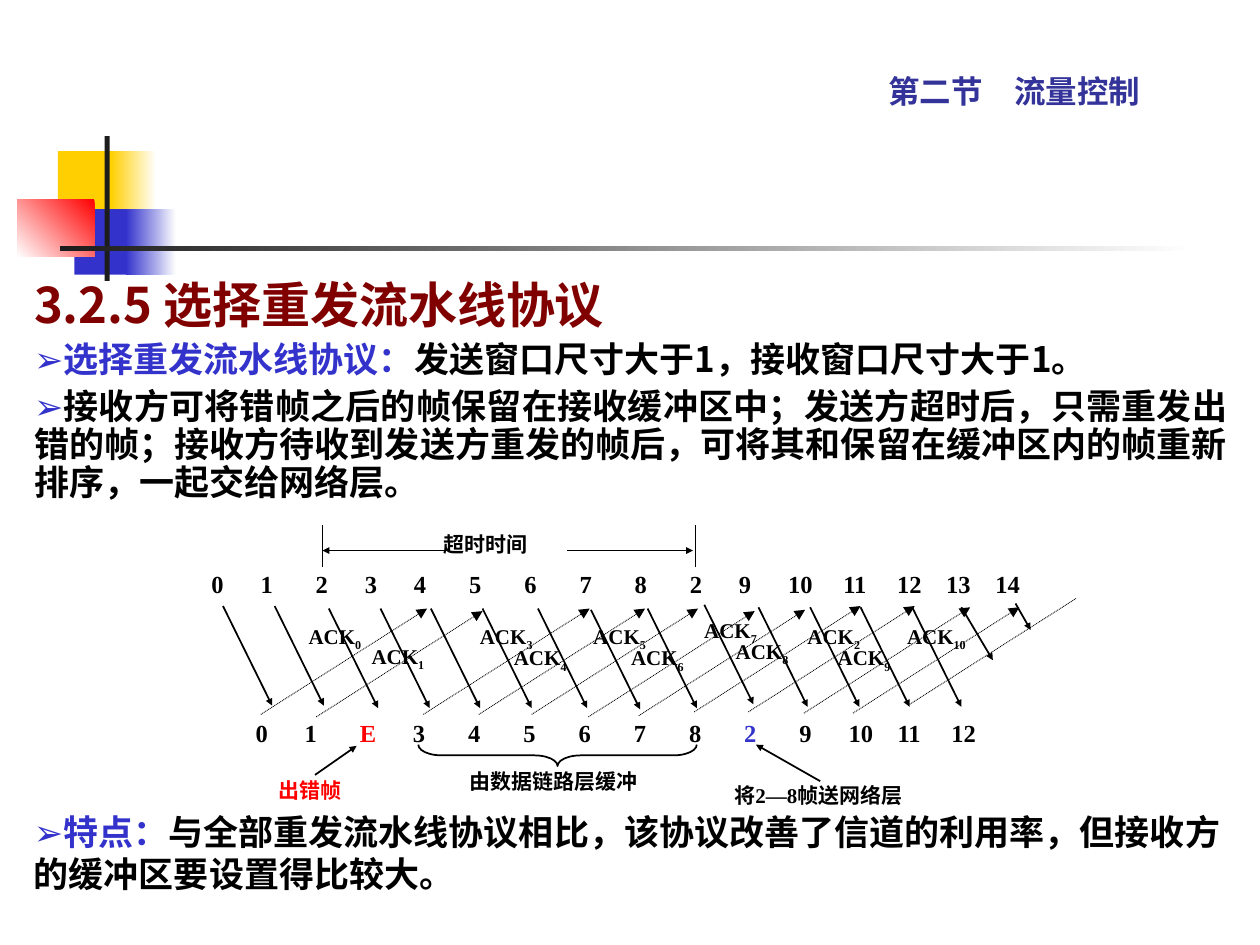
from lxml import etree
from pptx import Presentation
from pptx.dml.color import RGBColor
from pptx.enum import dml, shapes, text
from pptx.oxml.ns import qn
from pptx.util import Pt

PX = 9144


class Theme:
    """Colours, fonts and type sizes of the slide."""
    black, white, dark = "000000", "FFFFFF", "1C1C1C"
    gold, blue, red = "FFCF01", "3333CC", "FF0000"
    navy, wine = "333399", "800000"
    sans, serif, mark = "Noto Sans CJK SC", "Times New Roman", "Arial"
    head, body, title, row, note = 28, 20, 18, 14, 12


def rgb(code):
    """Turn a hex code into a colour."""
    return RGBColor.from_string(code)


def emu(*nums):
    """Turn px into EMU."""
    return [n * PX for n in nums]


def write(frame, *runs, font=Theme.serif, size=Theme.note, color=Theme.black,
          align=text.PP_ALIGN.JUSTIFY, line=None, before=0, first=True):
    """Add one paragraph of runs, each a string or a (string, changes) pair."""
    para = frame.paragraphs[0] if first else frame.add_paragraph()
    para.alignment, para.space_before = align, Pt(before)
    if line:
        para.line_spacing = line
    props = para._p.get_or_add_pPr()
    props.set("marL", "0")
    props.set("indent", "0")
    etree.SubElement(props, qn("a:buNone"))
    for item in runs:
        words, change = (item, {}) if isinstance(item, str) else item
        run = para.add_run()
        run.text = words
        face = run.font
        face.name = change.get("font", font)
        face.size, face.bold = Pt(size), True
        face.color.rgb = rgb(change.get("color", color))
        east = Theme.sans if face.name == Theme.serif else face.name
        etree.SubElement(run._r.rPr, qn("a:ea"), typeface=east)
        if "base" in change:
            run._r.rPr.set("baseline", str(change["base"] * 1000))
        if "gap" in change:
            run._r.rPr.set("spc", str(change["gap"]))


def label(slide, box, *runs, **fmt):
    """Add a text box holding one paragraph."""
    frame = slide.shapes.add_textbox(*emu(*box)).text_frame
    frame.word_wrap = True
    write(frame, *runs, **fmt)


def place(holder, box):
    """Move a placeholder to a box and fix its text size."""
    holder.left, holder.top, holder.width, holder.height = emu(*box)
    frame = holder.text_frame
    frame.word_wrap, frame.auto_size = True, text.MSO_AUTO_SIZE.NONE
    return frame


def block(slide, box, *colors, angle=180):
    """Add a borderless rectangle with one colour or a two-colour fade."""
    shape = slide.shapes.add_shape(shapes.MSO_SHAPE.RECTANGLE, *emu(*box))
    shape.shadow.inherit = False
    shape.line.fill.background()
    if len(colors) == 1:
        shape.fill.solid()
        shape.fill.fore_color.rgb = rgb(colors[0])
        return
    shape.fill.gradient()
    shape.fill.gradient_angle = angle
    for stop, code in zip(shape.fill.gradient_stops, colors):
        stop.color.rgb = rgb(code)


def stroke(slide, x, y, dx, dy, head=True, dots=False):
    """Add a straight line from a point by an offset."""
    link = slide.shapes.add_connector(
        shapes.MSO_CONNECTOR.STRAIGHT, *emu(x, y, x + dx, y + dy))
    link.line.width = Pt(0.5 if dots else 1)
    link.line.color.rgb = rgb(Theme.black)
    if dots:
        link.line.dash_style = dml.MSO_LINE.ROUND_DOT
    if head:
        size = "med" if dots else "sm"
        etree.SubElement(link.line._get_or_add_ln(), qn("a:tailEnd"),
                         type="triangle", w=size, len=size)
    etree.SubElement(link._element.spPr, qn("a:effectLst"))


def decor(slide, x, y):
    """Draw the colour blocks and the two rules."""
    t = Theme
    block(slide, (x + 32, y + 12, 48, 52), t.gold)
    block(slide, (x + 74, y + 12, 36, 52), t.white, t.gold)
    block(slide, (x + 45, y + 58, 46, 52), t.blue)
    block(slide, (x + 86, y + 58, 40, 52), t.white, t.blue)
    block(slide, (x, y + 50, 61, 46), t.red, t.white, angle=225)
    block(slide, (x + 69, y, 4, 115), t.dark)
    block(slide, (x + 34, y + 87, 900, 4), t.white, t.dark)


def timeout(slide, x, y):
    """Draw the timeout span above the sent frames."""
    for bar in (0, 296):
        stroke(slide, x + bar, y + 33, 0, -33, head=False)
    stroke(slide, x + 194, y + 20, 100, 0)
    stroke(slide, x + 100, y + 20, -100, 0)
    label(slide, (x + 86, y, 136, 51), "超时时间")


def acks(slide, x, y):
    """Draw the acknowledgement names and their rising arrows."""
    names = {8: (416, 85), 7: (391, 68), 6: (333, 90), 2: (473, 73),
             0: (77, 73), 1: (127, 89), 9: (497, 90), 10: (552, 73),
             3: (213, 73), 4: (240, 90), 5: (303, 73)}
    for num, (dx, dy) in names.items():
        label(slide, (x + dx, y + dy, 111, 67), "ACK", (str(num), {"base": -25}))
    rise = [(49, 150), (93, 152), (178, 150), (222, 150), (264, 150), (309, 152),
            (349, 151), (393, 148), (436, 148), (480, 149), (519, 149), (564, 142)]
    for dx, dy in rise:
        stroke(slide, x + dx, y + dy, 132, -84, head=(dx, dy) != rise[-1], dots=True)


def sends(slide, x, y):
    """Draw the falling arrows of the sent frames."""
    tops = {19: 64, 60: 64, 103: 66, 144: 66, 184: 66, 225: 66, 269: 66,
            311: 67, 356: 66, 401: 63, 444: 65, 485: 65, 525: 65, 566: 65}
    for dx, dy in tops.items():
        stroke(slide, x + dx, y + dy, 39, 79)
    stroke(slide, x + 605, y + 65, 25, 42)
    stroke(slide, x + 648, y + 62, 12, 21)


def series(slide, box, names, gaps, colors):
    """Write frame names on one line, each gap a space widened in half digits."""
    runs = []
    for i, name in enumerate(names.split()):
        if i:
            runs.append((" ", {"gap": (int(gaps[i - 1]) - 1) * Theme.row * 25}))
        runs.append((name, {"color": colors.get(i, Theme.black)}))
    label(slide, box, *runs, size=Theme.row, align=text.PP_ALIGN.LEFT)


def rows(slide, x, y):
    """Write the sent and received frame numbers."""
    series(slide, (x, y + 30, 725, 34),
           "0 1 2 3 4 5 6 7 8 2 9 10 11 12 13 14", "676677777665544", {})
    series(slide, (x + 35, y + 148, 682, 34),
           "0 1 E 3 4 5 6 7 8 2 9 10 11 12", "6767777777645"[:2] + "67777777645",
           {2: Theme.red, 9: Theme.blue})


def notes(slide, x, y):
    """Draw the brace and the remarks below the received frames."""
    label(slide, (x + 53, y + 195, 124, 51), "出错帧", color=Theme.red)
    brace = slide.shapes.add_shape(
        shapes.MSO_SHAPE.LEFT_BRACE, *emu(x + 276, y + 72, 17, 221))
    brace.rotation = 270
    brace.adjustments[0] = 1.08
    brace.shadow.inherit = False
    brace.fill.background()
    brace.line.width = Pt(1)
    brace.line.color.rgb = rgb(Theme.black)
    label(slide, (x + 205, y + 188, 187, 37), "由数据链路层缓冲")
    stroke(slide, x + 92, y + 198, 33, -23)
    label(slide, (x + 415, y + 199, 177, 42), "将2—8帧送网络层")
    stroke(slide, x + 493, y + 203, -51, -29)


def copy(slide):
    """Fill the title, the body and the closing point."""
    t = Theme
    blue = {"color": t.blue}
    mark = ("➢", {"color": t.blue, "font": t.mark})
    frame = place(slide.shapes.title, (667, 42, 325, 50))
    frame.vertical_anchor = text.MSO_ANCHOR.BOTTOM
    frame.margin_left = 38 * PX
    write(frame, "第二节　流量控制", font=t.sans, size=t.title, color=t.navy,
          align=text.PP_ALIGN.LEFT)
    frame = place(slide.placeholders[1], (17, 218, 967, 192))
    write(frame, "3.2.5 选择重发流水线协议", font=t.sans, size=t.head, color=t.wine,
          line=0.9, before=7)
    fmt = dict(font=t.sans, size=t.body)
    write(frame, mark, ("选择重发流水线协议：", blue),
          "发送窗口尺寸大于1，接收窗口尺寸大于1。", line=0.9, before=5, first=False, **fmt)
    write(frame, mark, "接收方可将错帧之后的帧保留在接收缓冲区中；发送方超时后，只需重发出错的帧；"
          "接收方待收到发送方重发的帧后，可将其和保留在缓冲区内的帧重新排序，一起交给网络层。",
          line=0.9, before=5, first=False, **fmt)
    label(slide, (17, 638, 983, 77), mark, ("特点：", blue),
          "与全部重发流水线协议相比，该协议改善了信道的利用率，但接收方的缓冲区要设置得比较大。",
          align=text.PP_ALIGN.LEFT, before=12.5, **fmt)


def main():
    """Build and save the slide."""
    deck = Presentation()
    deck.slide_width, deck.slide_height = emu(1000, 750)
    slide = deck.slides.add_slide(deck.slide_layouts[1])
    decor(slide, 14, 108)
    copy(slide)
    timeout(slide, 256, 417)
    for part in (acks, sends, notes, rows):
        part(slide, 158, 417)
    deck.save("out.pptx")


if __name__ == "__main__":
    main()
